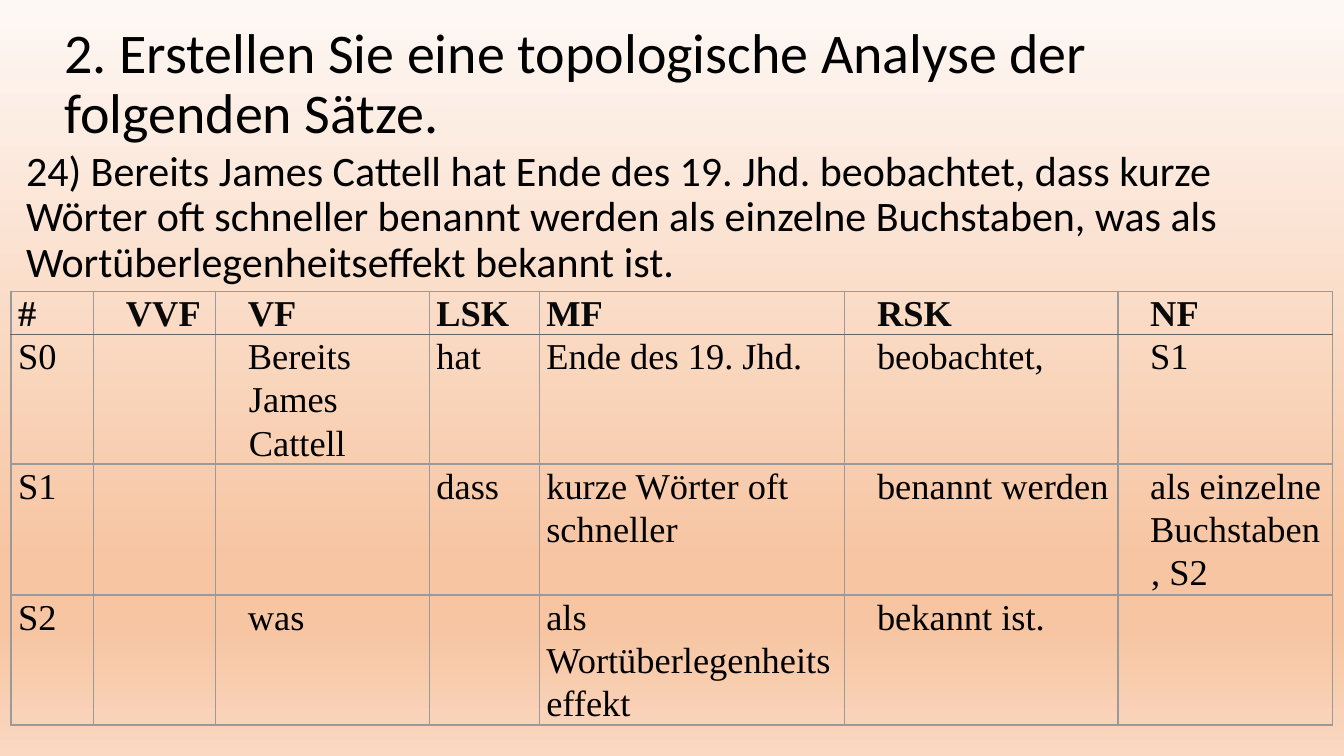
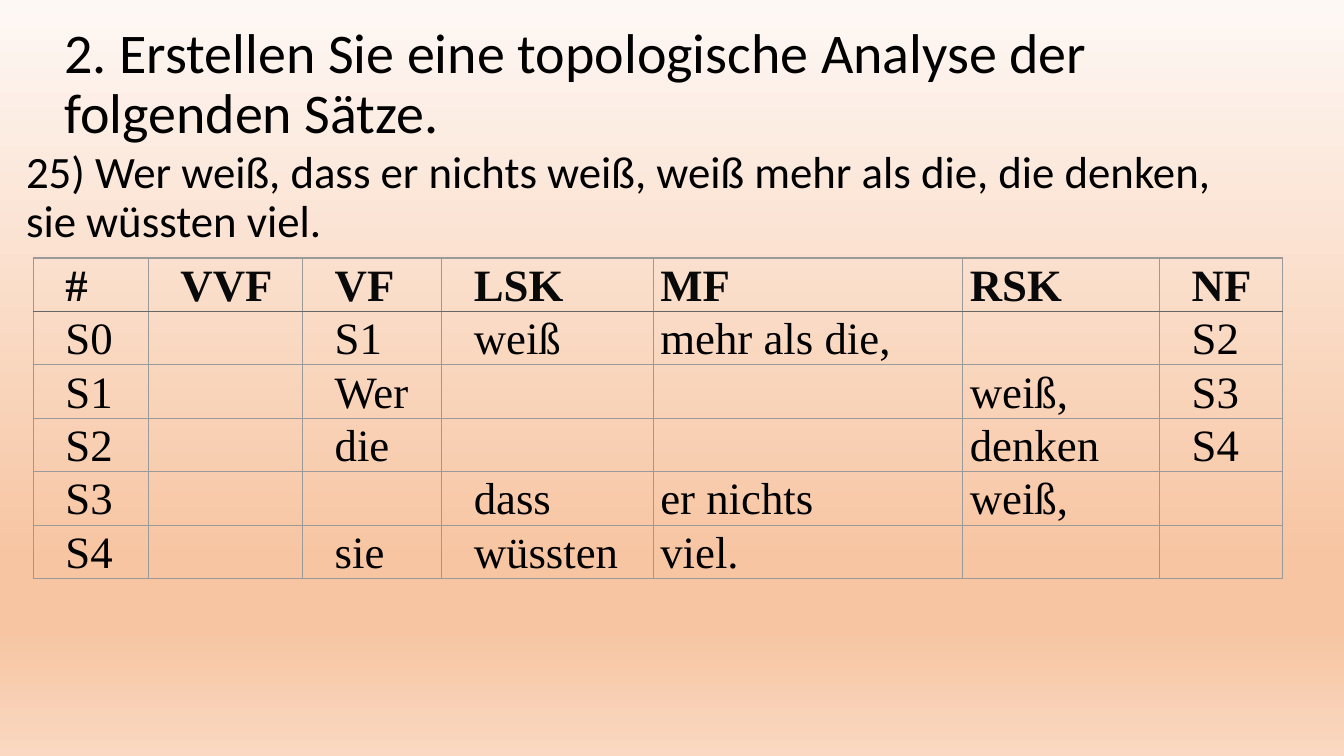
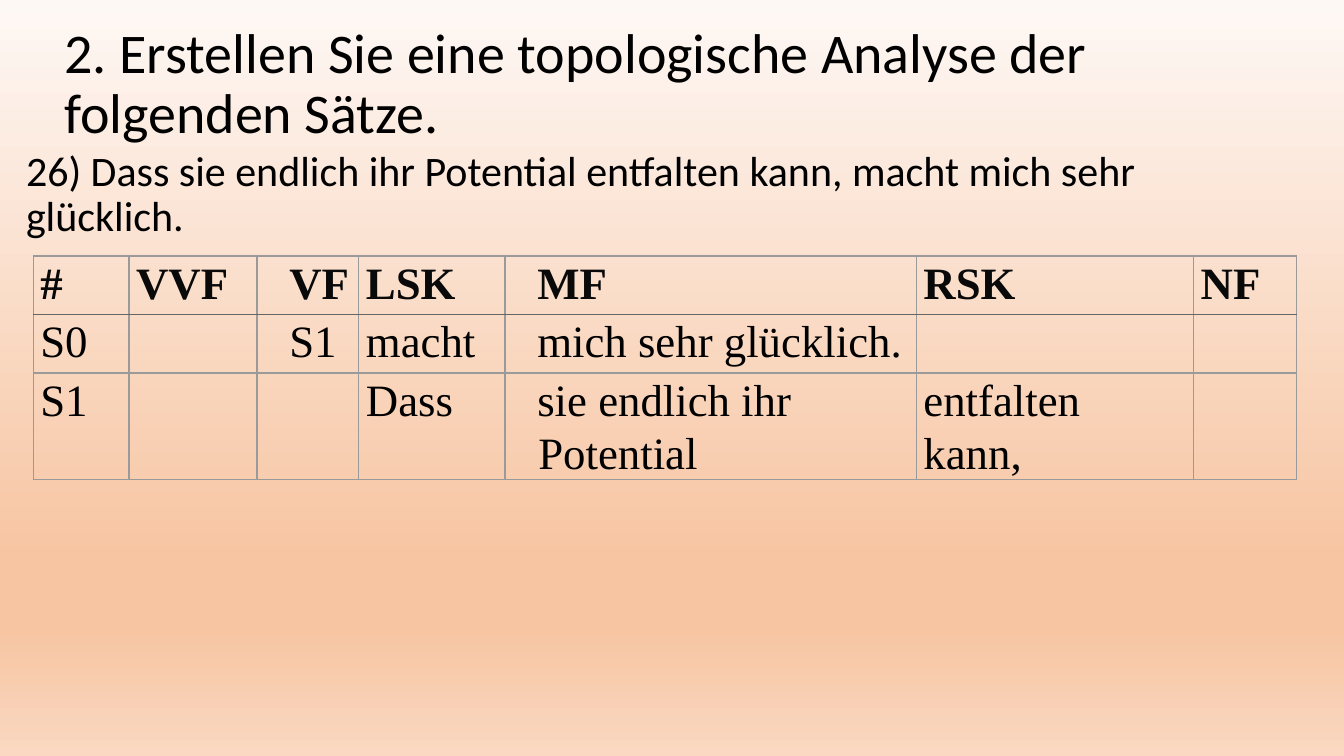
import lxml.etree
import pptx
import pptx.dml.color
import pptx.enum.text
import pptx.oxml.ns
import pptx.util

RGB = pptx.dml.color.RGBColor
INK = RGB(0x00, 0x00, 0x00)
HEADER_INK = RGB(0x09, 0x09, 0x0A)
GRID = RGB(0x9A, 0x9A, 0x9B)
HEADER_RULE = RGB(0x66, 0x66, 0x66)
PEACH = RGB(0xF7, 0xC5, 0xA2)
BACKGROUND = [(0, RGB(0xFE, 0xF8, 0xF5)), (74, PEACH), (83, PEACH),
              (100, RGB(0xFA, 0xD8, 0xC1))]

TITLE = "2. Erstellen Sie eine topologische Analyse der folgenden Sätze."
FIELDS = ["#", "VVF", "VF", "LSK", "MF", "RSK", "NF"]
FIELD_INDENT = 26
GRID_LEADING = {26: 30.8, 32: 37.9}

ANALYSES = [
    {
        "sentence": "24) Bereits James Cattell hat Ende des 19. Jhd. beobachtet, dass kurze "
                    "Wörter oft schneller benannt werden als einzelne Buchstaben, was als "
                    "Wortüberlegenheitseffekt bekannt ist.",
        "sentence_size": 30, "grid_size": 26, "origin": (11, 289),
        "widths": [82, 121, 212, 109, 303, 271, 213],
        "heights": [42, 128, 130, 129],
        "indented": {"VVF", "VF", "RSK", "NF"},
        "clauses": [
            ["S0", "", "Bereits James Cattell", "hat", "Ende des 19. Jhd.",
             "beobachtet,", "S1"],
            ["S1", "", "", "dass", "kurze Wörter oft schneller", "benannt werden",
             "als einzelne\nBuchstaben, S2"],
            ["S2", "", "was", "", "als\nWortüberlegenheitseffekt", "bekannt ist.", ""],
        ],
    },
    {
        "sentence": "25) Wer weiß, dass er nichts weiß, weiß mehr als die, die denken, "
                    "sie wüssten viel.",
        "sentence_size": 32, "grid_size": 32, "origin": (33, 256),
        "widths": [114, 153, 138, 210, 307, 195, 122],
        "heights": [53] * 6,
        "indented": {"#", "VVF", "VF", "LSK", "NF"},
        "clauses": [
            ["S0", "", "S1", "weiß", "mehr als die,", "", "S2"],
            ["S1", "", "Wer", "", "", "weiß,", "S3"],
            ["S2", "", "die", "", "", "denken", "S4"],
            ["S3", "", "", "dass", "er nichts", "weiß,", ""],
            ["S4", "", "sie", "wüssten", "viel.", "", ""],
        ],
    },
    {
        "sentence": "26) Dass sie endlich ihr Potential entfalten kann, macht mich sehr "
                    "glücklich.",
        "sentence_size": 30, "grid_size": 32, "origin": (33, 254),
        "widths": [95, 127, 101, 145, 408, 275, 102],
        "heights": [58, 58, 106],
        "indented": {"VF", "MF"},
        "clauses": [
            ["S0", "", "S1", "macht", "mich sehr glücklich.", "", ""],
            ["S1", "", "", "Dass", "sie endlich ihr Potential", "entfalten kann,", ""],
        ],
    },
]


def px(length):
    """Turn px, a hundredth of an inch each, into EMU."""
    return pptx.util.Emu(length * 9144)


def style_font(font, name, size, color, bold=False):
    """Set the look of one font."""
    font.name = name
    font.size = pptx.util.Pt(size)
    font.color.rgb = color
    font.bold = bold


def set_background(master):
    """Give the master the vertical gradient that all slides show."""
    fill = master.background.fill
    fill.gradient()
    fill.gradient_angle = 270
    qn = pptx.oxml.ns.qn
    stops = master.element.find(".//" + qn("a:gsLst"))
    for stop in list(stops):
        stops.remove(stop)
    for percent, color in BACKGROUND:
        stop = lxml.etree.SubElement(stops, qn("a:gs"), pos=str(percent * 1000))
        lxml.etree.SubElement(stop, qn("a:srgbClr"), val=str(color))


def add_text(slide, text, box, size, anchor):
    """Add one wrapped paragraph in a text box."""
    frame = slide.shapes.add_textbox(*map(px, box)).text_frame
    frame.word_wrap = True
    frame.vertical_anchor = anchor
    frame.text = text
    paragraph = frame.paragraphs[0]
    paragraph.line_spacing = 0.9
    style_font(paragraph.runs[0].font, "Calibri", size, INK)


def add_border(cell, side, color, width):
    """Draw one side of a cell."""
    qn = pptx.oxml.ns.qn
    line = lxml.etree.SubElement(cell._tc.get_or_add_tcPr(), qn("a:ln" + side),
                                 w=str(pptx.util.Pt(width)))
    fill = lxml.etree.SubElement(line, qn("a:solidFill"))
    lxml.etree.SubElement(fill, qn("a:srgbClr"), val=str(color))


def fill_cell(cell, text, row, indent, size):
    """Write and border one cell of the field table."""
    cell.margin_left = cell.margin_right = px(7)
    cell.margin_top = cell.margin_bottom = 0
    ruled_side = {0: "B", 1: "T"}.get(row)
    for side in "LRTB":
        if side == ruled_side:
            add_border(cell, side, HEADER_RULE, 1.5)
        else:
            add_border(cell, side, GRID, 1)
    cell.fill.background()
    cell.text = text
    for paragraph in cell.text_frame.paragraphs:
        paragraph.line_spacing = pptx.util.Pt(GRID_LEADING[size])
        properties = paragraph._p.get_or_add_pPr()
        properties.set("marL", str(px(indent)))
        properties.set("indent", str(px(-1)))
        for run in paragraph.runs:
            style_font(run.font, "Times New Roman", size,
                       INK if row else HEADER_INK, bold=row == 0)


def add_field_table(slide, analysis):
    """Add the table of topological fields."""
    rows = [FIELDS] + analysis["clauses"]
    widths, heights = analysis["widths"], analysis["heights"]
    left, top = analysis["origin"]
    table = slide.shapes.add_table(len(rows), len(FIELDS), px(left), px(top),
                                   px(sum(widths)), px(sum(heights))).table
    table.first_row = table.horz_banding = False
    for column, width in zip(table.columns, widths):
        column.width = px(width)
    for row, height in zip(table.rows, heights):
        row.height = px(height)
    for row, texts in enumerate(rows):
        for column, text in enumerate(texts):
            indent = FIELD_INDENT if FIELDS[column] in analysis["indented"] else 0
            fill_cell(table.cell(row, column), text, row, indent, analysis["grid_size"])


def main():
    """Build and save the three analysis slides."""
    deck = pptx.Presentation()
    deck.slide_width, deck.slide_height = px(1333), px(750)
    set_background(deck.slide_master)
    anchors = pptx.enum.text.MSO_ANCHOR
    for analysis in ANALYSES:
        slide = deck.slides.add_slide(deck.slide_layouts[6])
        add_text(slide, TITLE, (54, 12, 1150, 145), 40, anchors.MIDDLE)
        add_text(slide, analysis["sentence"], (16, 144, 1226, 532),
                 analysis["sentence_size"], anchors.TOP)
        add_field_table(slide, analysis)
    deck.save("out.pptx")


if __name__ == "__main__":
    main()
